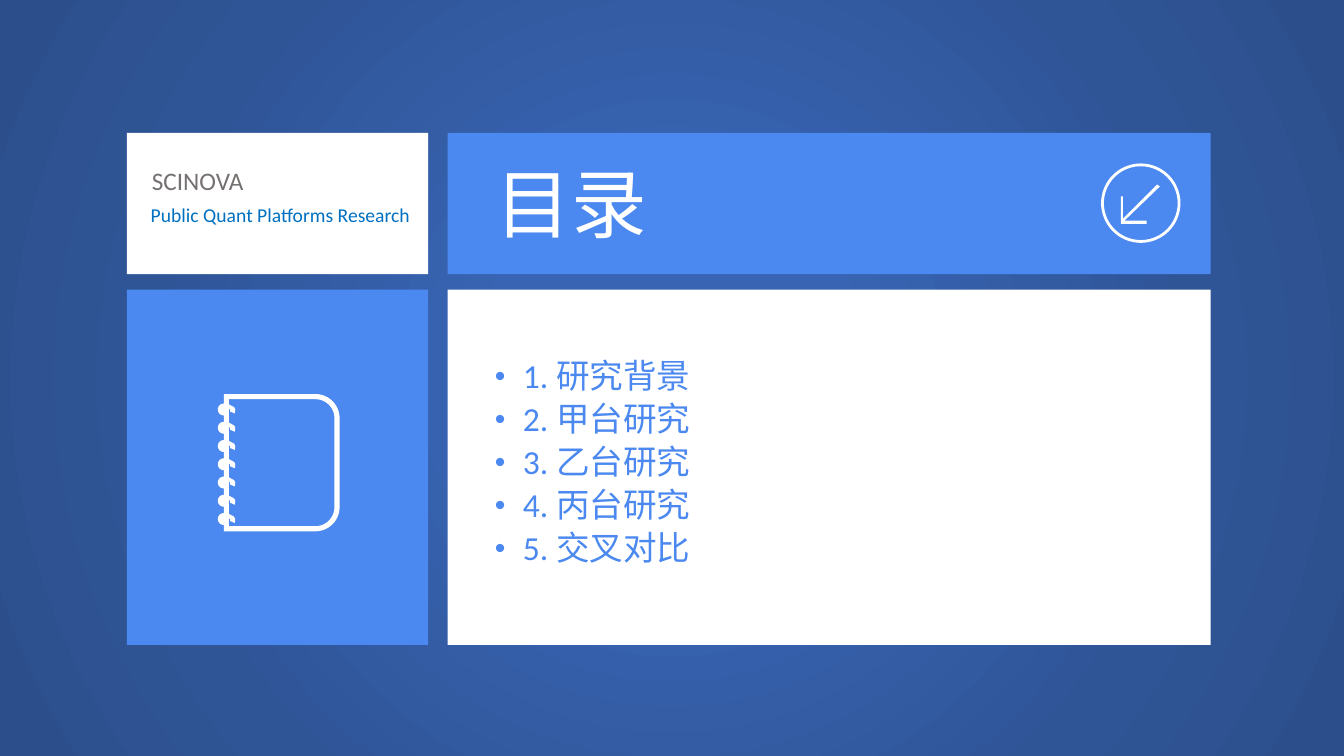
from math import cos, radians, sin

from lxml import etree
from pptx import Presentation
from pptx import util as u
from pptx.dml.color import RGBColor
from pptx.enum import shapes, text
from pptx.oxml import ns

WHITE = RGBColor(0xFF, 0xFF, 0xFF)
BLUE = RGBColor(0x4B, 0x89, 0xF0)
TEAL = RGBColor(0x00, 0x70, 0xC0)
GREY = RGBColor(0x76, 0x71, 0x71)
STOPS = {0: RGBColor(0x38, 0x64, 0xB3), 23: RGBColor(0x38, 0x64, 0xB3),
         69: RGBColor(0x2F, 0x55, 0x97), 97: RGBColor(0x2C, 0x4F, 0x8C)}

WIDE, HIGH = 33.87, 19.05
LEFT, MID = 3.2, 11.28
SIDE, MAIN = 7.59, 19.23
TOP, LOW = 3.35, 7.3
HEAD, BODY = 3.56, 8.95
TOPICS = ["研究背景", "甲台研究", "乙台研究", "丙台研究", "交叉对比"]


def add_xml(node, tag, **attrs):
    return etree.SubElement(node, ns.qn(tag), attrs)


def paint(shape, color):
    shape.shadow.inherit = False
    shape.line.fill.background()
    shape.fill.solid()
    shape.fill.fore_color.rgb = color


def add_tile(slide, x, y, w, h, color):
    tile = slide.shapes.add_shape(
        shapes.MSO_SHAPE.RECTANGLE, *map(u.Cm, (x, y, w, h)))
    paint(tile, color)
    return tile


def add_glow(slide):
    back = add_tile(slide, 0, 0, WIDE, HIGH, BLUE)
    grad = etree.Element(ns.qn("a:gradFill"), rotWithShape="1")
    stops = add_xml(grad, "a:gsLst")
    for pos, color in STOPS.items():
        stop = add_xml(stops, "a:gs", pos=str(pos * 1000))
        add_xml(stop, "a:srgbClr", val=str(color))
    ring = add_xml(grad, "a:path", path="circle")
    add_xml(ring, "a:fillToRect", **dict.fromkeys("ltrb", "50000"))
    props = back.element.spPr
    props.replace(props.find(ns.qn("a:solidFill")), grad)


def add_text(slide, x, y, w, h, lines, size, color, inset=None):
    box = slide.shapes.add_textbox(*map(u.Cm, (x, y, w, h)))
    frame = box.text_frame
    form = {"word_wrap": True, "auto_size": text.MSO_AUTO_SIZE.SHAPE_TO_FIT_TEXT}
    if inset is not None:
        form.update({"margin_" + side: u.Cm(inset)
                     for side in ("left", "top", "right", "bottom")})
    for key, value in form.items():
        setattr(frame, key, value)
    frame.text = "\n".join(lines)
    for para in frame.paragraphs:
        font = para.runs[0].font
        for key, value in {"name": "Calibri", "size": u.Pt(size)}.items():
            setattr(font, key, value)
        font.color.rgb = color
    return frame


def add_dots(frame):
    for para in frame.paragraphs:
        para.line_spacing = 0.9
        props = para._p.get_or_add_pPr()
        for key, value in {"marL": 0.71, "indent": -0.71}.items():
            props.set(key, str(u.Cm(value)))
        add_xml(add_xml(props, "a:spcBef"), "a:spcPct", val="20000")
        add_xml(props, "a:buSzPct", val="90000")
        add_xml(props, "a:buFont", typeface="Arial")
        add_xml(props, "a:buChar", char="•")


def arc(x, y, r, start, stop, count=12):
    turns = [radians(start + (stop - start) * i / count) for i in range(count + 1)]
    return [(x + r * cos(t), y + r * sin(t)) for t in turns]


def add_icon(slide, loops, color):
    loops = [[(u.Cm(x), u.Cm(y)) for x, y in loop] for loop in loops]
    pen = slide.shapes.build_freeform(*loops[0][0])
    for i, loop in enumerate(loops):
        if i:
            pen.move_to(*loop[0])
        pen.add_line_segments(loop[1:], close=True)
    paint(pen.convert_to_shape(), color)


def add_arrow(slide):
    x, y = 28.75, 5.12
    tip = [(0.15, 0.52), (-0.5, 0.52), (-0.5, -0.17), (-0.45, -0.17),
           (-0.45, 0.39), (0.41, -0.47), (0.48, -0.42), (-0.41, 0.44),
           (0.15, 0.44)]
    rings = [arc(x, y, r, 0, 360, 72)[:-1] for r in (1, 0.93)]
    add_icon(slide, rings + [[(x + a, y + b) for a, b in tip]], WHITE)


def bend(r):
    x, high, low = 7.95, 10.54, 12.78
    return arc(x, high, r, -90, 0) + arc(x, low, r, 0, 90)


def add_book(slide):
    edge, rim = 5.64, 5.77
    coils = [10.32 + 0.46 * i for i in range(7)]
    hook = [(0, -0.02), (0.03, 0), (0.03, 0.05), (0.15, 0.1),
            (0.16, 0), (0.13, -0.06), (0, -0.13)]
    outer = bend(0.61) + [(edge, 13.39)]
    inner = bend(0.48) + [(rim, 13.26)]
    for y in reversed(coils):
        outer += arc(edge, y, 0.15, 90, 270)
        inner += [(rim + a, y + b) for a, b in hook]
    outer.append((edge, 9.93))
    inner.append((rim, 10.06))
    add_icon(slide, [outer, inner], WHITE)


def main():
    deck = Presentation()
    deck.slide_width, deck.slide_height = u.Cm(WIDE), u.Cm(HIGH)
    slide = deck.slides.add_slide(deck.slide_layouts[6])
    add_glow(slide)
    add_tile(slide, MID, TOP, MAIN, HEAD, BLUE)
    add_arrow(slide)
    add_text(slide, 12.24, 3.84, 9.6, 2.57, ["目录"], 54, WHITE)
    add_tile(slide, MID, LOW, MAIN, BODY, WHITE)
    add_tile(slide, LEFT, TOP, SIDE, HEAD, WHITE)
    add_tile(slide, LEFT, LOW, SIDE, BODY, BLUE)
    add_text(slide, 3.55, 4.98, 7.24, 0.86,
             ["Public Quant Platforms Research"], 14, TEAL)
    add_text(slide, 3.58, 4.04, 5.72, 1.02, ["SCINOVA"], 18, GREY)
    add_book(slide)
    topics = [f"{i}. {name}" for i, name in enumerate(TOPICS, 1)]
    add_dots(add_text(slide, 12.29, 8.89, 17.27, 5.82, topics, 24, BLUE, 0.18))
    deck.save("out.pptx")


main()
